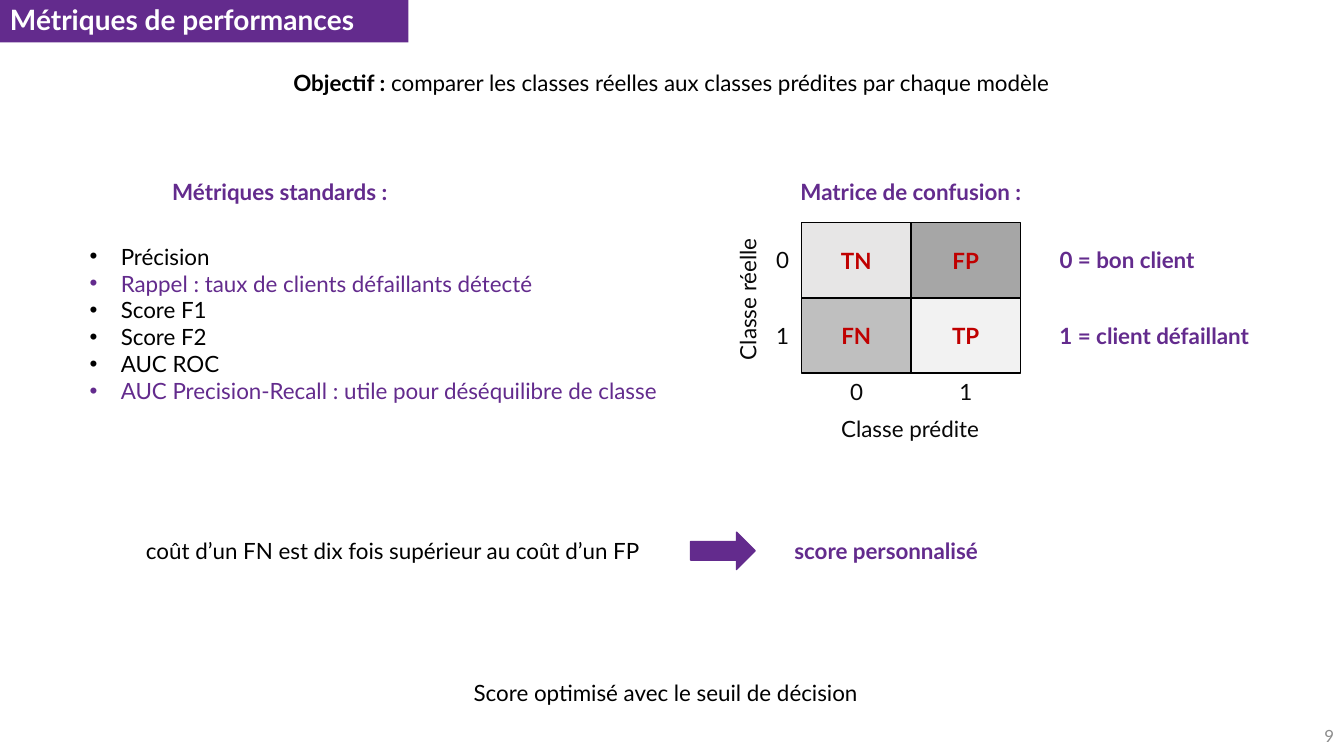
from pptx import Presentation
from pptx.dml.color import RGBColor
from pptx.enum.shapes import MSO_SHAPE
from pptx.enum.text import MSO_ANCHOR, MSO_AUTO_SIZE, PP_ALIGN
from pptx.oxml.ns import qn
from pptx.util import Inches, Pt
from lxml import etree

PURPLE, RED, BLACK, LABEL = "632B8D", "C00000", "000000", "080808"
LINE_H = 0.37


def rgb(value):
    return RGBColor.from_string(value)


def add_run(p, text, color=BLACK, **formats):
    r = p.add_run()
    r.text = text
    for name, value in {"name": "Lato", "size": Pt(16), "bold": False, **formats}.items():
        setattr(r.font, name, value)
    r.font.color.rgb = rgb(color)


def add_text(shapes, box, text, color=BLACK, wrap=True, align=PP_ALIGN.LEFT, **formats):
    """Place one line of text in box (left, top, width, height) and return its shape."""
    sp = shapes.add_textbox(*map(Inches, box))
    tf = sp.text_frame
    tf.word_wrap = wrap
    tf.auto_size = MSO_AUTO_SIZE.SHAPE_TO_FIT_TEXT
    p = tf.paragraphs[0]
    p.alignment = align
    if text:
        add_run(p, text, color, **formats)
    return sp


def add_box(shapes, kind, box, fill, line=None):
    sp = shapes.add_shape(kind, *map(Inches, box))
    sp.shadow.inherit = False
    sp.fill.solid()
    sp.fill.fore_color.rgb = rgb(fill)
    if line:
        sp.line.color.rgb = rgb(line)
        sp.line.width = Pt(1)
    else:
        sp.line.fill.background()
    return sp


def add_title(shapes, box, text):
    sp = add_box(shapes, MSO_SHAPE.RECTANGLE, box, PURPLE)
    tf = sp.text_frame
    tf.vertical_anchor = MSO_ANCHOR.TOP
    tf.paragraphs[0].alignment = PP_ALIGN.LEFT
    add_run(tf.paragraphs[0], text, "FFFFFF", size=Pt(20), bold=True)


def add_objective(shapes, box):
    sp = add_text(shapes, box, "", align=PP_ALIGN.CENTER)
    p = sp.text_frame.paragraphs[0]
    add_run(p, "Objectif :", bold=True)
    add_run(p, " comparer les classes réelles aux classes prédites par chaque modèle")


def add_metrics(shapes, box):
    left, top, width, height = box
    add_text(shapes, (left + 0.82, top, 2.67, LINE_H), "Métriques standards :",
             PURPLE, wrap=False, bold=True)
    metrics = [
        ("Précision", BLACK),
        ("Rappel : taux de clients défaillants détecté", PURPLE),
        ("Score F1", BLACK),
        ("Score F2", BLACK),
        ("AUC ROC", BLACK),
        ("AUC Precision-Recall : utile pour déséquilibre de classe", PURPLE),
    ]
    tf = add_text(shapes, (left, top + 0.64, width, height - 0.64), "").text_frame
    for i, (text, color) in enumerate(metrics):
        p = tf.add_paragraph() if i else tf.paragraphs[0]
        pPr = p._p.get_or_add_pPr()
        pPr.set("marL", str(Inches(0.31)))
        pPr.set("indent", str(-Inches(0.31)))
        etree.SubElement(pPr, qn("a:buFont")).set("typeface", "Arial")
        etree.SubElement(pPr, qn("a:buChar")).set("char", "•")
        add_run(p, text, color)


def add_confusion_matrix(shapes, box):
    """Draw the 2 by 2 grid in box, with its heading, axes and legend around it."""
    left, top, width, height = box
    cell_w, cell_h = width / 2, height / 2
    cells = [[("TN", "E7E6E6"), ("FP", "A6A6A6")],
             [("FN", "BFBFBF"), ("TP", "F2F2F2")]]
    legend = ["0 = bon client", "1 = client défaillant"]
    for i, row in enumerate(cells):
        for j, (text, fill) in enumerate(row):
            cell = (left + j * cell_w, top + i * cell_h, cell_w, cell_h)
            tf = add_box(shapes, MSO_SHAPE.RECTANGLE, cell, fill, BLACK).text_frame
            tf.vertical_anchor = MSO_ANCHOR.MIDDLE
            tf.paragraphs[0].alignment = PP_ALIGN.CENTER
            add_run(tf.paragraphs[0], text, RED, bold=True)
        row_y = top + (i + 0.5) * cell_h - LINE_H / 2
        column_x = left + (i + 0.5) * cell_w - 0.16
        for x, y in ((left - 0.35, row_y), (column_x, top + height)):
            add_text(shapes, (x, y, 0.32, LINE_H), str(i), LABEL, wrap=False)
        add_text(shapes, (left + width + 0.29, row_y, 1.78 + 0.65 * i, LINE_H),
                 legend[i], PURPLE, wrap=False, bold=True)

    center = left + width / 2
    add_text(shapes, (center - 1.35, top - 0.49, 2.7, LINE_H), "Matrice de confusion :",
             PURPLE, wrap=False, align=PP_ALIGN.CENTER, bold=True)
    add_text(shapes, (center - 0.79, top + height + 0.37, 1.58, LINE_H),
             "Classe prédite", LABEL, wrap=False)
    actual = add_text(shapes, (left - 1.25, top + height / 2 - LINE_H / 2, 1.43, LINE_H),
                      "Classe réelle", LABEL, wrap=False)
    actual.rotation = 270


def add_custom_score(shapes, box):
    left, top, width, height = box
    add_text(shapes, (left, top, 5.2, height),
             "coût d’un FN est dix fois supérieur au coût d’un FP")
    add_box(shapes, MSO_SHAPE.RIGHT_ARROW, (left + 5.5, top, 0.64, height), PURPLE, PURPLE)
    add_text(shapes, (left + width - 2.34, top, 2.34, height), "score personnalisé",
             PURPLE, wrap=False, bold=True)


def add_page_number(shapes, box, number):
    sp = add_text(shapes, box, number, "8C8C8C", align=PP_ALIGN.RIGHT, size=Pt(12))
    sp.text_frame.auto_size = MSO_AUTO_SIZE.NONE
    sp.text_frame.vertical_anchor = MSO_ANCHOR.MIDDLE


def main():
    prs = Presentation()
    prs.slide_width, prs.slide_height = Inches(13.33), Inches(7.5)
    s = prs.slides.add_slide(prs.slide_layouts[6])
    add_title(s.shapes, (0, -0.02, 4.05, 0.44), "Métriques de performances")
    add_objective(s.shapes, (2.41, 0.64, 8.5, LINE_H))
    add_metrics(s.shapes, (0.79, 1.72, 5.94, 2.36))
    add_confusion_matrix(s.shapes.add_group_shape().shapes, (7.95, 2.21, 2.17, 1.49))
    add_custom_score(s.shapes, (1.35, 5.28, 8.77, LINE_H))
    add_text(s.shapes, (4.6, 6.69, 4.13, LINE_H), "Score optimisé avec le seuil de décision")
    add_page_number(s.shapes, (10.33, 7.1, 3, 0.4), "9")
    prs.save("out.pptx")


if __name__ == "__main__":
    main()
